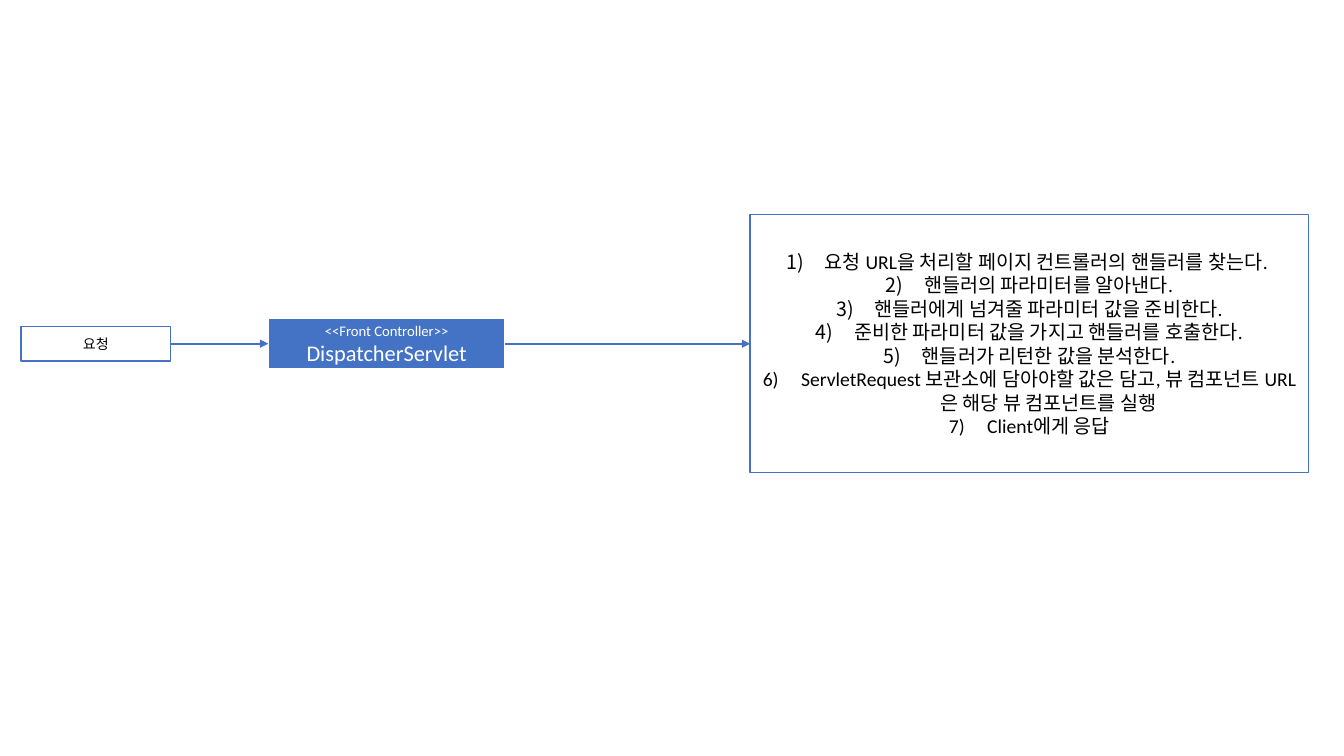
from dataclasses import dataclass

from lxml.etree import SubElement
from pptx import Presentation
from pptx.dml.color import RGBColor
from pptx.enum.shapes import MSO_CONNECTOR, MSO_SHAPE
from pptx.enum.text import MSO_ANCHOR, PP_ALIGN
from pptx.oxml.ns import qn
from pptx.util import Emu, Pt


@dataclass(frozen=True)
class Theme:
    font: str = "Calibri"
    blue: str = "4472C4"
    white: str = "FFFFFF"
    black: str = "000000"
    label: float = 10
    stereo: float = 10.5
    body: float = 14
    title: float = 16
    thin: float = 1
    thick: float = 1.5


def px(count):
    return Emu(count * 9144)


def color(code):
    return RGBColor.from_string(code)


class Board:
    def __init__(self, slide, theme, middle):
        self.slide = slide
        self.theme = theme
        self.middle = middle

    def box(self, left, width, height, fill, edge, weight):
        top = px(self.middle) - px(height) // 2
        shape = self.slide.shapes.add_shape(
            MSO_SHAPE.RECTANGLE, px(left), top, px(width), px(height))
        shape.shadow.inherit = False
        shape.fill.solid()
        shape.fill.fore_color.rgb = color(fill)
        shape.line.color.rgb = color(edge)
        shape.line.width = Pt(weight)
        shape.text_frame.word_wrap = True
        shape.text_frame.vertical_anchor = MSO_ANCHOR.MIDDLE
        return shape

    def text(self, shape, lines, ink, numbered=False):
        frame = shape.text_frame
        for index, (words, size) in enumerate(lines):
            para = frame.add_paragraph() if index else frame.paragraphs[0]
            para.alignment = PP_ALIGN.CENTER
            if numbered:
                self.number(para)
            run = para.add_run()
            run.text = words
            run.font.name = self.theme.font
            run.font.size = Pt(size)
            run.font.color.rgb = color(ink)

    def number(self, para):
        props = para._p.get_or_add_pPr()
        props.set("marL", str(px(38)))
        props.set("indent", str(-px(38)))
        SubElement(props, qn("a:buAutoNum"), type="arabicParenR")

    def arrow(self, start, end):
        link = self.slide.shapes.add_connector(MSO_CONNECTOR.STRAIGHT, 0, 0, 0, 0)
        link.begin_connect(start, 3)
        link.end_connect(end, 1)
        link.line.color.rgb = color(self.theme.blue)
        link.line.width = Pt(self.theme.thick)
        props = link.element.spPr
        SubElement(props.find(qn("a:ln")), qn("a:tailEnd"), type="triangle")
        SubElement(props, qn("a:effectLst"))


def main():
    deck = Presentation()
    deck.slide_width, deck.slide_height = px(1333), px(750)
    theme = Theme()
    board = Board(deck.slides.add_slide(deck.slide_layouts[6]), theme, 341)

    front = board.box(266, 235, 51, theme.blue, theme.white, theme.thick)
    board.text(front, [("<<Front Controller>>", theme.stereo),
                       ("DispatcherServlet", theme.title)], theme.white)

    request = board.box(21, 148, 34, theme.white, theme.blue, theme.thin)
    board.text(request, [("요청", theme.label)], theme.black)

    steps = [
        "요청 URL을 처리할 페이지 컨트롤러의 핸들러를 찾는다. ",
        "핸들러의 파라미터를 알아낸다.",
        "핸들러에게 넘겨줄 파라미터 값을 준비한다.",
        "준비한 파라미터 값을 가지고 핸들러를 호출한다.",
        "핸들러가 리턴한 값을 분석한다.",
        "ServletRequest 보관소에 담아야할 값은 담고, 뷰 컴포넌트 URL은 해당 뷰 컴포넌트를 실행",
        "Client에게 응답",
    ]
    process = board.box(744, 554, 256, theme.white, theme.blue, theme.thin)
    board.text(process, [(step, theme.body) for step in steps], theme.black, True)

    board.arrow(request, front)
    board.arrow(front, process)
    deck.save("out.pptx")


if __name__ == "__main__":
    main()
